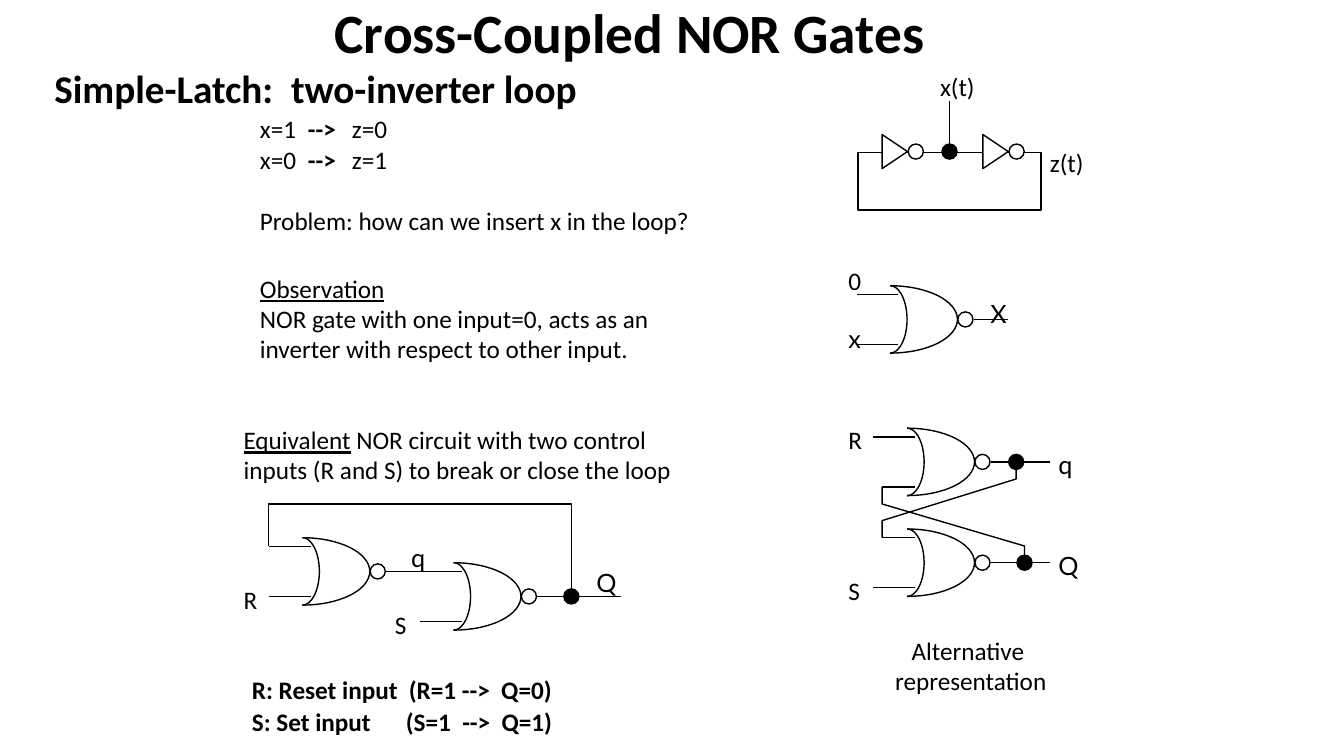
from math import cos, sin, pi
from lxml.etree import SubElement
from pptx import Presentation
from pptx.dml.color import RGBColor
from pptx.enum.shapes import MSO_CONNECTOR as Link, MSO_SHAPE as Kind
from pptx.enum.text import MSO_ANCHOR as Anchor, MSO_AUTO_SIZE as Fit, PP_ALIGN as Align
from pptx.oxml.ns import qn
from pptx.util import Cm, Pt

BLACK = RGBColor(0, 0, 0)
WHITE = RGBColor(255, 255, 255)


def write(frame, paras, size=18, font="Calibri", bold=False, align=Align.LEFT,
          space=None, gap=0, tabs=()):
    for i, runs in enumerate(paras):
        para = frame.paragraphs[0] if i == 0 else frame.add_paragraph()
        para.alignment = align
        para.line_spacing = space
        if gap and i == len(paras) - 1:
            para.space_before = Pt(gap)
        if tabs:
            stops = SubElement(para._p.get_or_add_pPr(), qn("a:tabLst"))
            for stop in tabs:
                SubElement(stops, qn("a:tab"), pos=str(Cm(stop)), algn="l")
        for part in [runs] if isinstance(runs, str) else runs:
            words, mark = (part, "") if isinstance(part, str) else part
            run = para.add_run()
            run.text = words
            face = run.font
            face.size, face.name = Pt(size), font
            face.bold = bold or mark == "bold"
            face.underline = mark == "under"
            face.color.rgb = BLACK


class Board:
    def __init__(self, slide, ink=BLACK, width=1, dot=0.38):
        self.slide, self.shapes = slide, slide.shapes
        self.ink, self.width, self.size = ink, Pt(width), dot

    def style(self, shape, fill=None):
        shape.shadow.inherit = False
        if fill is None:
            shape.fill.background()
        else:
            shape.fill.solid()
            shape.fill.fore_color.rgb = fill
        shape.line.color.rgb = self.ink
        shape.line.width = self.width

    def title(self, words, x, y, w, h, **form):
        box = self.shapes.title
        box.left, box.top, box.width, box.height = Cm(x), Cm(y), Cm(w), Cm(h)
        box.text_frame.auto_size = Fit.NONE
        box.text_frame.vertical_anchor = Anchor.MIDDLE
        write(box.text_frame, [words], **form)

    def text(self, paras, x, y, w, h=1.02, **form):
        frame = self.shapes.add_textbox(Cm(x), Cm(y), Cm(w), Cm(h)).text_frame
        frame.word_wrap = False
        frame.auto_size = Fit.SHAPE_TO_FIT_TEXT
        write(frame, paras, **form)

    def line(self, x1, y1, x2, y2):
        wire = self.shapes.add_connector(Link.STRAIGHT, Cm(x1), Cm(y1), Cm(x2), Cm(y2))
        wire.line.color.rgb = self.ink
        wire.line.width = self.width
        SubElement(wire._element.spPr, qn("a:effectLst"))

    def trace(self, points, fill=None, close=False):
        spots = [(Cm(x), Cm(y)) for x, y in points]
        pen = self.shapes.build_freeform(*spots[0])
        pen.add_line_segments(spots[1:], close=close)
        self.style(pen.convert_to_shape(), fill)

    def box(self, x, y, w, h):
        self.style(self.shapes.add_shape(Kind.RECTANGLE, Cm(x), Cm(y), Cm(w), Cm(h)))

    def dot(self, x, y, fill=None):
        d = self.size
        self.style(self.shapes.add_shape(
            Kind.OVAL, Cm(x - d / 2), Cm(y - d / 2), Cm(d), Cm(d)), fill)

    def nor(self, x, y, top, low, out, steps=16):
        for reach in (1.7, 0.43):
            for side in (-1, 1):
                turns = [k * pi / 2 / steps for k in range(steps + 1)]
                self.trace([(x + reach * sin(t), y + side * 0.85 * cos(t)) for t in turns])
        self.dot(x + 1.9, y)
        self.line(x + 2.11, y, out, y)
        self.line(x + 0.21, y - 0.63, top, y - 0.63)
        self.line(x + 0.21, y + 0.63, low, y + 0.63)

    def invert(self, x, y):
        self.trace([(x, y - 0.43), (x, y + 0.43), (x + 0.64, y)], WHITE, True)
        self.dot(x + 0.85, y, WHITE)


def main():
    deck = Presentation()
    deck.slide_width, deck.slide_height = Cm(33.87), Cm(19.05)
    board = Board(deck.slides.add_slide(deck.slide_layouts[5]))

    board.title("Cross-Coupled NOR Gates", 8.18, 0.51, 18.16, 0.79,
                size=39.6, bold=True, space=0.9)
    board.text(["Simple-Latch:  two-inverter loop"], 1.12, 1.5, 13.84, 1.45,
               size=28, bold=True)
    arrow = ("-->", "bold")
    board.text([["x=1\t", arrow, "\tz=0"], ["x=0\t", arrow, "\tz=1"],
                "Problem: how can we insert x in the loop?"],
               6.3, 2.74, 11.46, 3.33, gap=22, tabs=(1.21, 2.32))
    board.text([[("Observation", "under")], "NOR gate with one input=0, acts as an",
                "inverter with respect to other input."], 6.3, 6.76, 10.57, 2.57)
    board.text([[("Equivalent", "under"), " NOR circuit with two control"],
                "inputs (R and S) to break or close the loop"], 5.89, 10.57, 11.4, 1.78)
    board.text(["R: Reset input  (R=1 -->  Q=0)", "S: Set input\t(S=1  -->  Q=1)"],
               6.1, 16.84, 8.15, 1.83, bold=True, space=1.05, tabs=(3.88,))
    board.text(["Alternative ", "representation"], 22.28, 15.88, 4.37, 1.78,
               align=Align.CENTER)

    board.box(21.62, 3.84, 4.62, 1.45)
    for x in (22.23, 24.77):
        board.invert(x, 3.82)
    board.line(23.93, 3.82, 23.93, 2.54)

    for gate in ((22.43, 8.05, 21.59, 21.59, 25.4),
                 (7.62, 14.4, 6.77, 6.77, 10.58),
                 (11.43, 15.03, 10.58, 10.58, 15.66),
                 (22.86, 11.64, 22.01, 22.23, 26.46),
                 (22.86, 14.18, 22.23, 22.01, 26.46)):
        board.nor(*gate)

    for wire in ([(14.4, 15.03), (14.4, 12.7), (6.77, 12.7), (6.77, 13.77)],
                 [(25.61, 11.64), (25.61, 12.07), (22.23, 13.12), (22.23, 13.55)],
                 [(25.82, 14.18), (25.82, 13.76), (22.23, 12.7), (22.23, 12.27)]):
        board.trace(wire)
    for x, y in ((23.93, 3.82), (14.4, 15.03), (25.61, 11.64), (25.82, 14.18)):
        board.dot(x, y, BLACK)

    for name, x, y, w, font in (
            ("x(t)", 23.44, 1.68, 1.4, "Calibri"), ("z(t)", 26.21, 3.58, 1.37, "Calibri"),
            ("0", 21.13, 6.55, 0.84, "Calibri"), ("x", 21.13, 8.03, 0.79, "Lato"),
            ("X", 24.71, 7.39, 0.84, "Lato"), ("q", 10.11, 13.54, 0.84, "Lato"),
            ("Q", 14.78, 14.17, 0.94, "Lato"), ("R", 5.89, 14.61, 0.86, "Calibri"),
            ("S", 9.7, 15.24, 0.81, "Calibri"), ("q", 26.42, 11.2, 0.84, "Lato"),
            ("Q", 26.42, 13.74, 0.94, "Lato"), ("R", 21.13, 10.57, 0.86, "Calibri"),
            ("S", 21.13, 14.38, 0.81, "Calibri")):
        board.text([name], x, y, w, font=font)

    deck.save("out.pptx")


if __name__ == "__main__":
    main()
